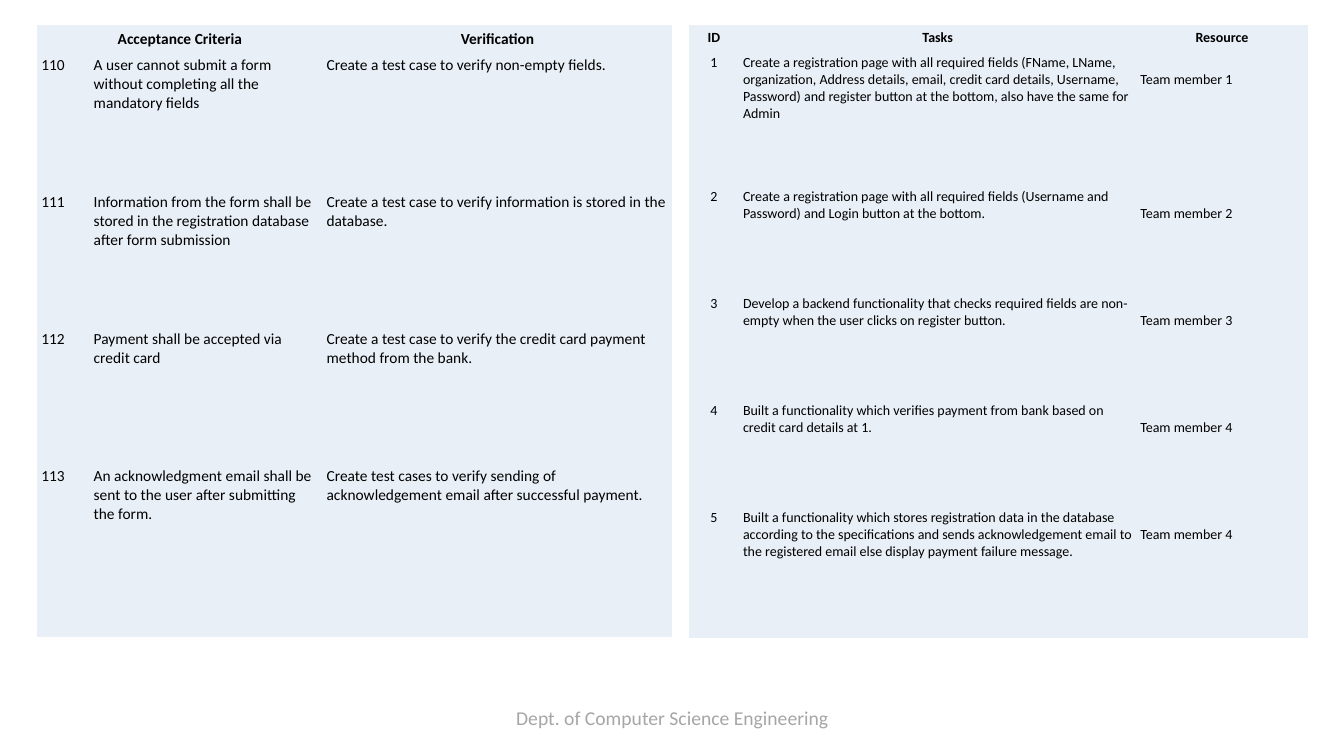
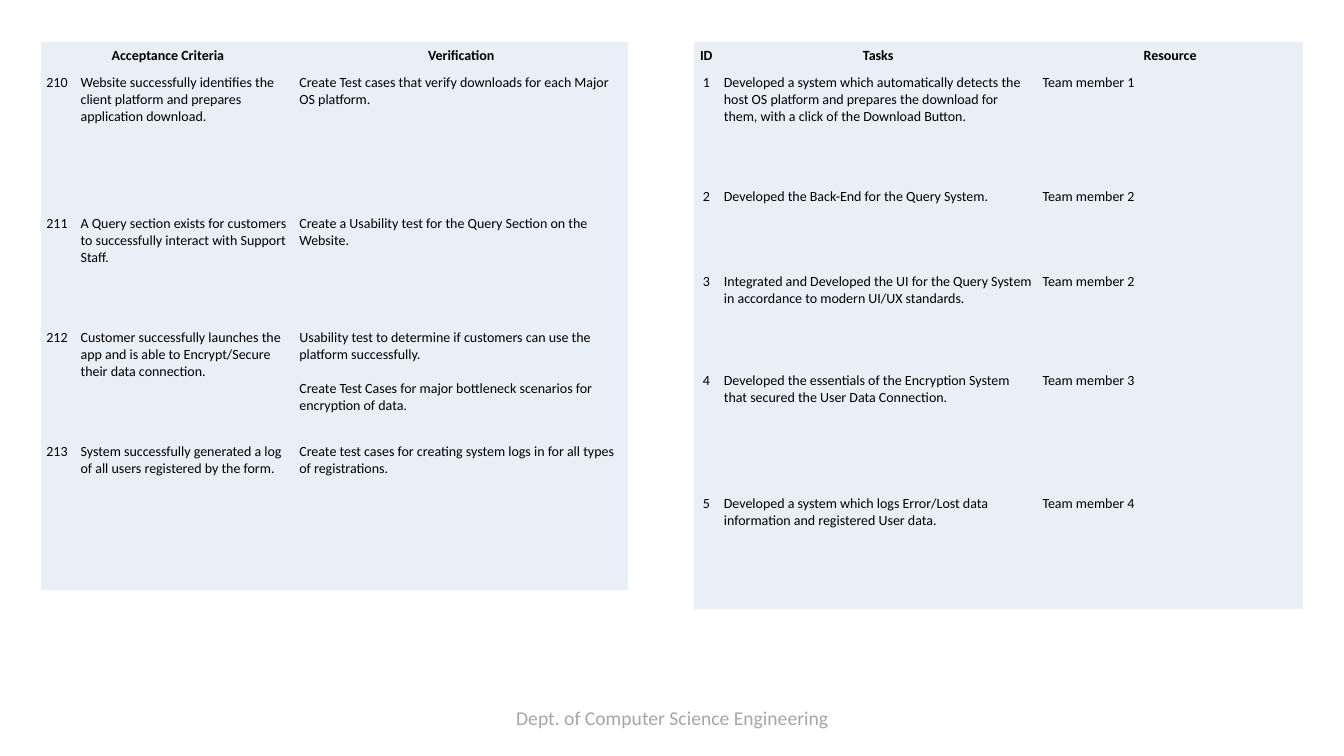
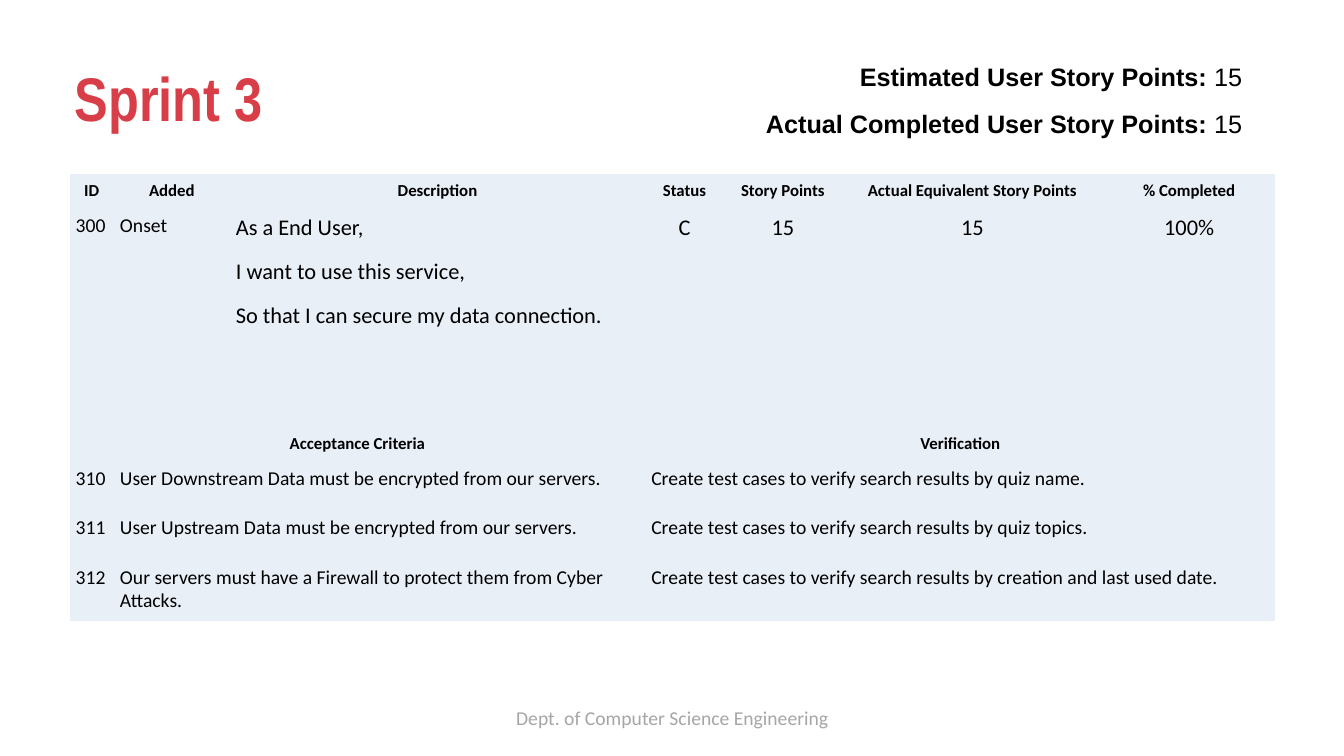
from dataclasses import dataclass

from pptx import Presentation
from pptx.dml.color import RGBColor
from pptx.enum.text import MSO_ANCHOR, PP_ALIGN
from pptx.oxml.ns import qn
from pptx.util import Inches, Pt

LEFT, MID, RIGHT, JUST = PP_ALIGN.LEFT, PP_ALIGN.CENTER, PP_ALIGN.RIGHT, PP_ALIGN.JUSTIFY
CENTRE = MSO_ANCHOR.MIDDLE
NO_GRID = "{2D5ABB26-0587-4C30-8999-92F81FD0307C}"


@dataclass(frozen=True)
class Theme:
    ink: str = "000000"
    red: str = "D83E48"
    grey: str = "A6A6A6"
    band: str = "E9EFF7"
    body: str = "Calibri"
    title: str = "Arial Narrow"
    label: str = "Arial"
    tiny: int = 10
    small: int = 11
    head: int = 12
    text: int = 14
    story: int = 16
    points: int = 18
    big: int = 44
    gap: int = 12


class Deck:
    def __init__(self, theme):
        self.theme = theme
        self.prs = Presentation()
        self.prs.slide_width, self.prs.slide_height = Inches(13.33), Inches(7.5)
        self.slide = None

    def page(self):
        """Start a slide with the shared footer."""
        self.slide = self.prs.slides.add_slide(self.prs.slide_layouts[6])
        frame = self.box(4.47, 6.95, 4.4, 0.31)
        frame.text = "Dept. of Computer Science Engineering"
        self.style(frame, self.theme.text, MID, color=self.theme.grey)

    def box(self, x, y, w, h):
        frame = self.slide.shapes.add_textbox(*map(Inches, (x, y, w, h))).text_frame
        frame.word_wrap = True
        self.pad(frame, 0.05)
        return frame

    def pad(self, area, inset):
        area.margin_left = area.margin_right = Inches(inset)
        area.margin_top = area.margin_bottom = Inches(inset)

    def style(self, frame, size, align=LEFT, bold=False, color=None, face=None):
        for i, para in enumerate(frame.paragraphs):
            para.alignment = align
            if i:
                para.space_before = Pt(self.theme.gap)
            for run in para.runs:
                run.font.size, run.font.bold = Pt(size), bold
                run.font.name = face or self.theme.body
                run.font.color.rgb = RGBColor.from_string(color or self.theme.ink)

    def title(self, text):
        frame = self.box(0.69, 0.28, 11.5, 1.45)
        frame.vertical_anchor = CENTRE
        frame.text = text
        self.style(frame, self.theme.big, bold=True, color=self.theme.red, face=self.theme.title)
        frame.paragraphs[0].line_spacing = 0.9

    def points(self, pairs):
        """Write bold labels with plain values, one pair a line."""
        frame = self.box(5.8, 0.56, 6.57, 1.6)
        frame.text = "\n".join(label for label, _ in pairs)
        for para, (_, value) in zip(frame.paragraphs, pairs):
            para.add_run().text = value
        self.style(frame, self.theme.points, RIGHT, True, face=self.theme.label)
        for para in frame.paragraphs:
            para.runs[-1].font.bold = False

    def table(self, x, y, cols, rows, cells, inset, size, mid=(), heads=(0,), head=None):
        """Draw a plain table; None joins a cell to the one on its left."""
        shape = self.slide.shapes.add_table(
            len(rows), len(cols), *map(Inches, (x, y, sum(cols), sum(rows))))
        for node in shape.element.iter(qn("a:tableStyleId")):
            node.text = NO_GRID
        table = shape.table
        table.first_row = table.horz_banding = False
        for col, width in zip(table.columns, cols):
            col.width = Inches(width)
        for row, height in zip(table.rows, rows):
            row.height = Inches(height)
        for r, line in enumerate(cells):
            top = r in heads
            start = 0
            for c, text in enumerate(line):
                cell = table.cell(r, c)
                cell.fill.solid()
                cell.fill.fore_color.rgb = RGBColor.from_string(self.theme.band)
                self.pad(cell, inset)
                if text is None:
                    if c + 1 == len(line) or line[c + 1] is not None:
                        table.cell(r, start).merge(cell)
                    continue
                start = c
                cell.text_frame.text = text
                self.style(cell.text_frame, head or size if top else size,
                           MID if top or c in mid else LEFT, top)
        return table


CHECKS = ("Acceptance Criteria", None, "Verification")
TASKS = ("ID", "Tasks", "Resource")


def signup(deck):
    deck.page()
    deck.table(0.37, 0.25, (0.52, 2.31, 3.47), (0.26, 1.36, 1.36, 1.36, 1.73), (
        CHECKS,
        ("110", "A user cannot submit a form without completing all the mandatory fields",
         "Create a test case to verify non-empty fields."),
        ("111", "Information from the form shall be stored in the registration database "
         "after form submission",
         "Create a test case to verify information is stored in the database."),
        ("112", "Payment shall be accepted via credit card",
         "Create a test case to verify the credit card payment method from the bank."),
        ("113", "An acknowledgment email shall be sent to the user after submitting the form.",
         "Create test cases to verify sending of acknowledgement email after "
         "successful payment."),
    ), 0.04, deck.theme.small)
    tasks = deck.table(6.83, 0.25, (0.5, 3.94, 1.7), (0.25, 1.33, 1.06, 1.06, 1.06, 1.32), (
        TASKS,
        ("1", "Create a registration page with all required fields (FName, LName, "
         "organization, Address details, email, credit card details, Username, Password) "
         "and register button at the bottom, also have the same for Admin",
         "Team member 1"),
        ("2", "Create a registration page with all required fields (Username and Password) "
         "and Login button at the bottom.", "Team member 2"),
        ("3", "Develop a backend functionality that checks required fields are non-empty "
         "when the user clicks on register button.", "Team member 3"),
        ("4", "Built a functionality which verifies payment from bank based on credit card "
         "details at 1.", "Team member 4"),
        ("5", "Built a functionality which stores registration data in the database "
         "according to the specifications and sends acknowledgement email to the "
         "registered email else display payment failure message.", "Team member 4"),
    ), 0.04, deck.theme.tiny, mid=(0,))
    for r in range(1, 6):
        tasks.cell(r, 2).margin_top = Inches(0.21)


def download(deck):
    deck.page()
    deck.table(0.41, 0.42, (0.34, 2.17, 3.31), (0.27, 1.4, 1.13, 1.13, 1.5), (
        CHECKS,
        ("210", "Website successfully identifies the client platform and prepares "
         "application download.",
         "Create Test cases that verify downloads for each Major OS platform."),
        ("211", "A Query section exists for customers to successfully interact with "
         "Support Staff.",
         "Create a Usability test for the Query Section on the Website."),
        ("212", "Customer successfully launches the app and is able to Encrypt/Secure "
         "their data connection.",
         "Usability test to determine if customers can use the platform successfully.\n"
         "Create Test Cases for major bottleneck scenarios for encryption of data."),
        ("213", "System successfully generated a log of all users registered by the form.",
         "Create test cases for creating system logs in for all types of registrations."),
    ), 0.05, deck.theme.tiny)
    deck.table(6.88, 0.42, (0.25, 3.16, 2.63), (0.27, 1.13, 0.84, 0.98, 1.22, 1.18), (
        TASKS,
        ("1", "Developed a system which automatically detects the host OS platform and "
         "prepares the download for them, with a click of the Download Button.",
         "Team member 1"),
        ("2", "Developed the Back-End for the Query System.", "Team member 2"),
        ("3", "Integrated and Developed the UI for the Query System in accordance to "
         "modern UI/UX standards.", "Team member 2"),
        ("4", "Developed the essentials of the Encryption System that secured the User "
         "Data Connection.", "Team member 3"),
        ("5", "Developed a system which logs Error/Lost data information and registered "
         "User data.", "Team member 4"),
    ), 0.05, deck.theme.tiny, mid=(0,))


def sprint(deck):
    deck.page()
    deck.title("Sprint 3")
    deck.points((("Estimated User Story Points: ", "15"),
                 ("Actual Completed User Story Points: ", "15")))
    checks = (
        ("310", "User Downstream Data must be encrypted from our servers.",
         "Create test cases to verify search results by quiz name."),
        ("311", "User Upstream Data must be encrypted from our servers.",
         "Create test cases to verify search results by quiz topics."),
        ("312", "Our servers must have a Firewall to protect them from Cyber Attacks.",
         "Create test cases to verify search results by creation and last used date."),
    )
    rest = (None,) * 3
    table = deck.table(
        0.69, 1.73, (0.44, 1.15, 4.12, 0.78, 1.17, 2.59, 1.71),
        (0.33, 2.18, 0.33, 0.49, 0.49, 0.61), (
            ("ID", "Added", "Description", "Status", "Story Points",
             "Actual Equivalent Story Points", "% Completed"),
            ("300", "Onset", "As a End User,\nI want to use this service,\n"
             "So that I can secure my data connection.", "C", "15", "15", "100%"),
            ("Acceptance Criteria", None, None, "Verification", *rest),
            *((key, need, None, test, *rest) for key, need, test in checks),
        ), 0.06, deck.theme.text, heads=(0, 2), head=deck.theme.head)
    for c in range(2, 7):
        deck.style(table.cell(1, c).text_frame, deck.theme.story, JUST if c == 2 else MID)


def main():
    deck = Deck(Theme())
    signup(deck)
    download(deck)
    sprint(deck)
    deck.prs.save("out.pptx")


if __name__ == "__main__":
    main()
